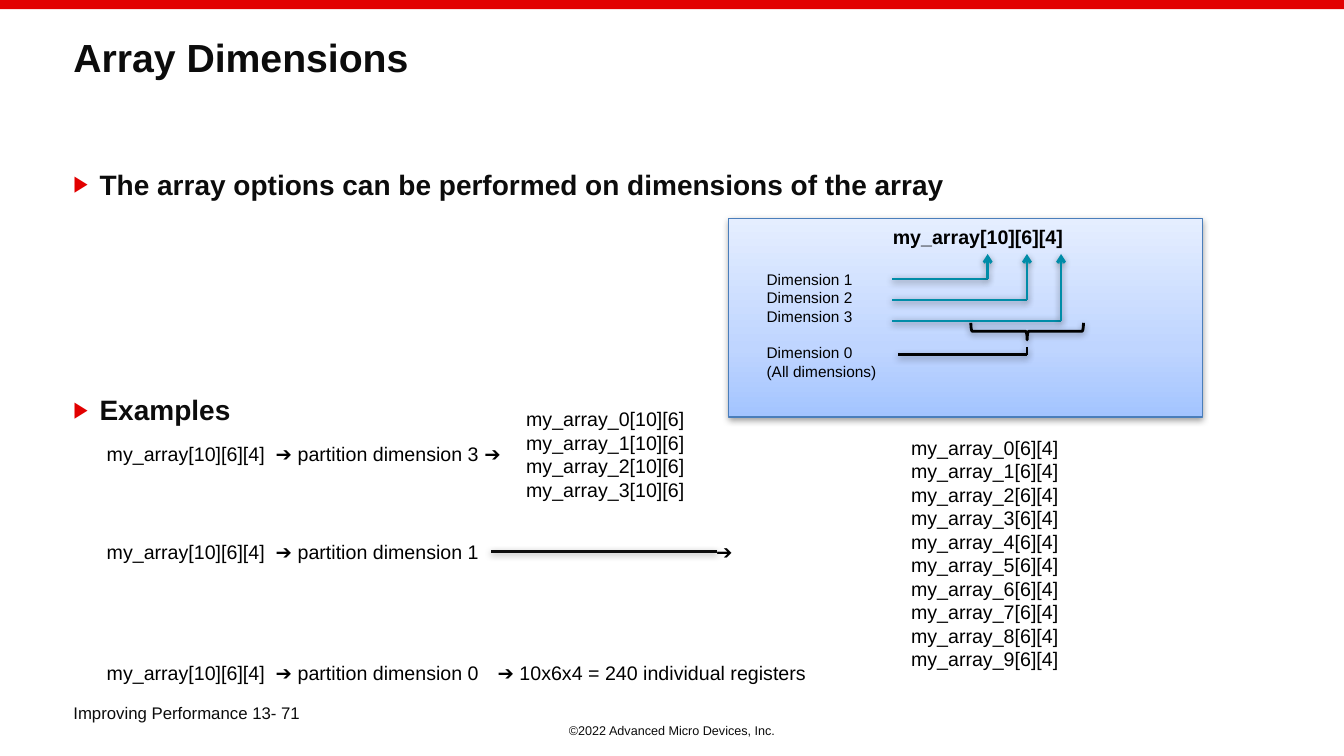
from lxml import etree
from pptx import Presentation
from pptx.dml.color import RGBColor
from pptx.enum.shapes import MSO_CONNECTOR, MSO_SHAPE
from pptx.enum.text import PP_ALIGN
from pptx.oxml.ns import qn
from pptx.util import Cm, Pt

LINE = MSO_CONNECTOR.STRAIGHT
RECT, BRACE = MSO_SHAPE.RECTANGLE, MSO_SHAPE.RIGHT_BRACE
LEFT, CENTER = PP_ALIGN.LEFT, PP_ALIGN.CENTER
C = {"red": "E20000", "ink": "0C0C0C", "black": "000000", "teal": "008CA8",
     "edge": "4A7EBB", "white": "FFFFFF"}
PANEL_STOPS = [(0, "A3C4FF"), (35, "BFD5FF"), (100, "E5EEFF")]


def rgb(name):
    """Return the named colour."""
    return RGBColor.from_string(C[name])


def child(parent, tag, **attrs):
    """Append a DrawingML element with the given attributes."""
    return etree.SubElement(parent, qn(f"a:{tag}"), {k: str(v) for k, v in attrs.items()})


def add_shadow(sp):
    """Give a shape or connector the soft shadow below it."""
    spPr = sp._element.spPr
    effects = spPr.find(qn("a:effectLst"))
    if effects is None:
        effects = child(spPr, "effectLst")
    shadow = child(effects, "outerShdw", blurRad=Pt(5), dist=Pt(1.6), dir=5400000, rotWithShape=0)
    child(child(shadow, "srgbClr", val=C["black"]), "alpha", val=38000)


def add_text(s, box, lines, size, color="black", bold=False, align=LEFT, tabs=()):
    """Add a text box with one paragraph per line and return its text frame."""
    tf = s.shapes.add_textbox(*map(Cm, box)).text_frame
    tf.word_wrap = True
    for i, line in enumerate(lines):
        p = tf.paragraphs[0] if i == 0 else tf.add_paragraph()
        p.text = line
        p.alignment = align
        if tabs:
            tab_list = child(p._p.get_or_add_pPr(), "tabLst")
            for pos in tabs:
                child(tab_list, "tab", pos=Cm(pos), algn="l")
        p.font.name, p.font.size, p.font.bold = "Arial", Pt(size), bold
        p.font.color.rgb = rgb(color)
    return tf


def add_line(s, x1, y1, x2, y2, color, arrow=False):
    """Draw a shadowed line, with an arrowhead at its end if asked."""
    cx = s.shapes.add_connector(LINE, Cm(x1), Cm(y1), Cm(x2), Cm(y2))
    cx.line.color.rgb = rgb(color)
    cx.line.width = Pt(2)
    if arrow:
        child(cx.line._get_or_add_ln(), "tailEnd", type="arrow")
    add_shadow(cx)


def add_frame(s, w, h):
    """Draw the top band, the title and the two footers."""
    band = s.shapes.add_shape(RECT, 0, 0, Cm(w), Cm(0.23))
    band.shadow.inherit = False
    band.fill.solid()
    band.fill.fore_color.rgb = rgb("red")
    band.line.fill.background()
    add_text(s, (0, h - 0.97, w, 0.64), ["©2022 Advanced Micro Devices, Inc."], 9, "ink", align=CENTER)
    tf = add_text(s, (1.6, 0.84, 30.66, 2.72), ["Array Dimensions"], 28, "ink", True)
    tf.paragraphs[0].line_spacing = 0.9
    add_text(s, (1.6, h - 1.47, 6.53, 1.02), ["Improving Performance 13- 71"], 12, "ink")


def add_headings(s, box):
    """Add the two bulleted headings."""
    tf = add_text(s, box, ["The array options can be performed on dimensions of the array",
                           "Examples"], 20, "ink", True)
    for p in tf.paragraphs:
        pPr = p._p.get_or_add_pPr()
        pPr.set("marL", str(Cm(0.66)))
        pPr.set("indent", str(-Cm(0.66)))
        color = etree.Element(qn("a:buClr"))
        child(color, "srgbClr", val=C["red"])
        bullet = [color, etree.Element(qn("a:buSzPct"), val="80000"),
                  etree.Element(qn("a:buFont"), typeface="Arial"),
                  etree.Element(qn("a:buChar"), char="▶")]
        for i, el in enumerate(bullet):
            pPr.insert(i, el)
    tf.paragraphs[1].space_before = Pt(137)


def add_panel(s, x, y, w, h):
    """Draw the panel that maps dimension numbers to array indices."""
    sp = s.shapes.add_shape(RECT, Cm(x), Cm(y), Cm(w), Cm(h))
    sp.shadow.inherit = False
    sp.fill.gradient()
    sp.fill.gradient_angle = 90
    stops = sp._element.spPr.find(f".//{qn('a:gsLst')}")
    stops.clear()
    for pos, color in PANEL_STOPS:
        child(child(stops, "gs", pos=pos * 1000), "srgbClr", val=color)
    sp.line.color.rgb = rgb("edge")
    sp.line.width = Pt(0.75)
    add_shadow(sp)

    add_text(s, (x + 3.89, y + 0.03, 5, 0.86), ["my_array[10][6][4]"], 14, bold=True)
    add_text(s, (x + 0.71, y + 1.17, 2.8, 1.68), [f"Dimension {n}" for n in (1, 2, 3)], 11)
    add_text(s, (x + 0.71, y + 3.02, 3.4, 1.19), ["Dimension 0", "(All dimensions)"], 11)

    for i, tip in enumerate((6.53, 7.52, 8.38)):
        level = y + 1.52 + 0.53 * i
        add_line(s, x + tip, level, x + 4.11, level, "teal")
        add_line(s, x + tip, level, x + tip, y + 0.89, "teal", arrow=True)

    brace = s.shapes.add_shape(BRACE, Cm(x + 7.31), Cm(y + 1.42), Cm(0.43), Cm(2.84))
    brace.rotation = 90
    brace.adjustments[0] = 0.083
    brace.shadow.inherit = False
    brace.fill.background()
    brace.line.color.rgb = rgb("black")
    brace.line.width = Pt(2)
    add_shadow(brace)
    add_line(s, x + 7.52, y + 3.43, x + 4.27, y + 3.43, "black")
    add_line(s, x + 7.52, y + 3.23, x + 7.52, y + 3.43, "black")


def add_examples(s, x, y):
    """Add the three partition examples and their resulting arrays."""
    rows = [(0, 3, " ➔", ()),
            (2.47, 1, "\t➔", (15.36,)),
            (5.51, 0, "\t➔ 10x6x4 = 240 individual registers", (9.85,))]
    for dy, dim, result, tabs in rows:
        add_text(s, (x, y + dy, 18.8, 0.86),
                 [f"my_array[10][6][4]\t➔ partition dimension {dim}{result}"], 14, tabs=(4.26, *tabs))
    add_text(s, (x + 10.57, y - 0.89, 4.8, 2.64), [f"my_array_{n}[10][6]" for n in range(4)], 14)
    add_text(s, (x + 20.27, y - 0.17, 4.5, 6.25), [f"my_array_{n}[6][4]" for n in range(10)], 14)
    add_line(s, x + 15.62, y + 2.87, x + 9.93, y + 2.87, "ink")


def main():
    """Build the slide and save it."""
    prs = Presentation()
    prs.slide_width, prs.slide_height = Cm(33.87), Cm(19.05)
    s = prs.slides.add_slide(prs.slide_layouts[6])
    s.background.fill.solid()
    s.background.fill.fore_color.rgb = rgb("white")
    add_frame(s, 33.87, 19.05)
    add_headings(s, (1.6, 4.09, 30.66, 12.88))
    add_examples(s, 2.44, 11.02)
    add_panel(s, 18.36, 5.51, 11.94, 5)
    prs.save("out.pptx")


if __name__ == "__main__":
    main()
